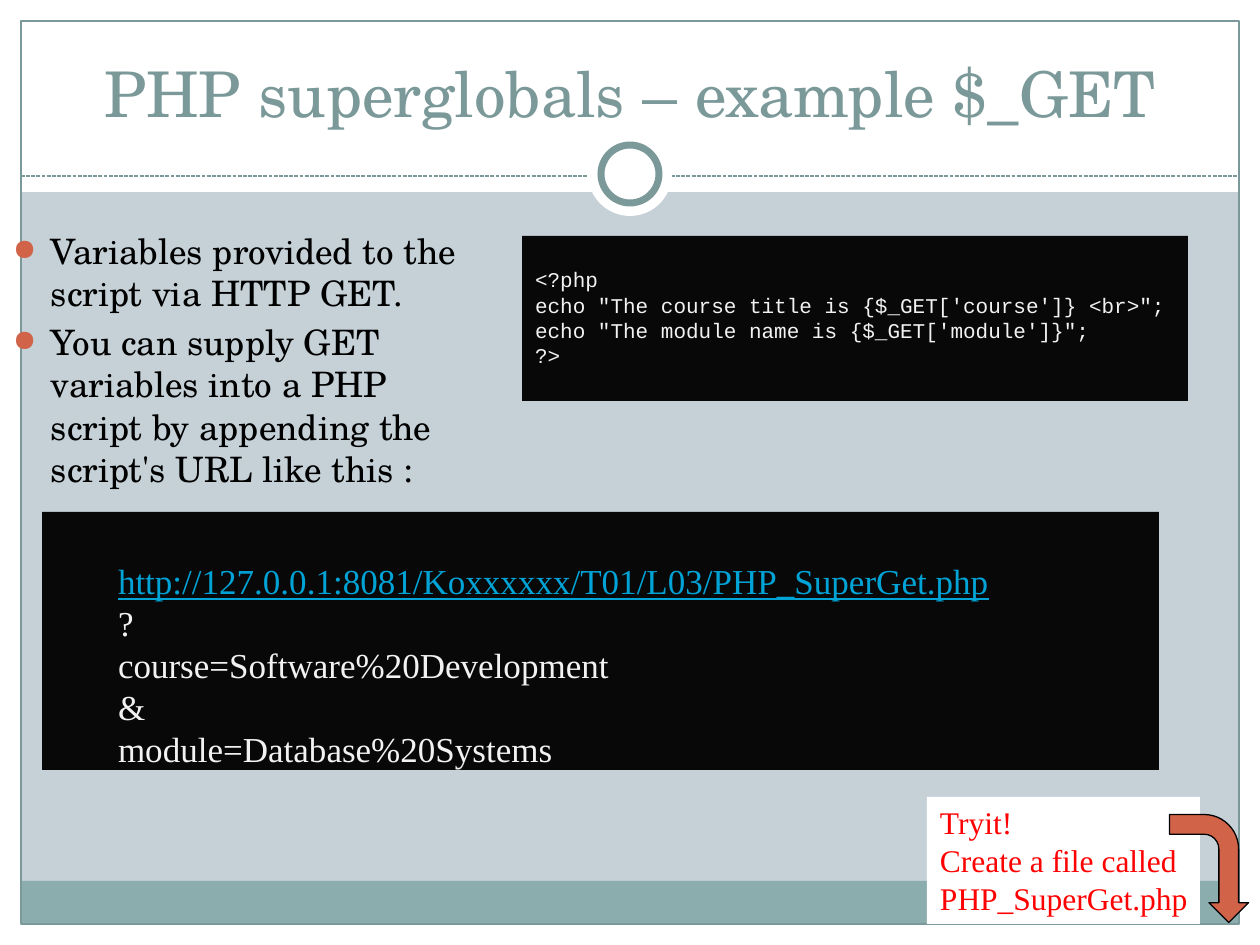
"""Build the slide on PHP superglobals and $_GET."""
from lxml.etree import SubElement
from pptx import Presentation
from pptx.dml.color import RGBColor
from pptx.enum.dml import MSO_LINE
from pptx.enum.shapes import MSO_CONNECTOR, MSO_SHAPE
from pptx.enum.text import MSO_ANCHOR, PP_ALIGN
from pptx.oxml.ns import qn
from pptx.util import Emu, Pt

PX = 914400 // 126
WIDTH, HEIGHT = 1260, 945
EDGE = 21
SERIF, MONO, TIMES = "TeX Gyre Schola", "Courier New", "Times New Roman"
COLORS = {
    "ground": "C5D1D7", "white": "FFFFFF", "band": "8CADAE", "teal": "7C999A",
    "orange": "D16349", "black": "000000", "panel": "080808", "pale": "F2F2F2",
    "link": "00A3D6", "red": "FF0000",
}
RECT, OVAL = MSO_SHAPE.RECTANGLE, MSO_SHAPE.OVAL
BACKDROP = [
    (RECT, (0, HEIGHT - EDGE, WIDTH, EDGE), "white", None, 0),
    (RECT, (0, 0, WIDTH, 192), "white", None, 0),
    (RECT, (0, 0, EDGE, HEIGHT), "white", None, 0),
    (RECT, (WIDTH - EDGE, 0, EDGE, HEIGHT), "white", None, 0),
    (RECT, (EDGE, 881, WIDTH - 2 * EDGE, 43), "band", None, 0),
    (RECT, (EDGE, EDGE, WIDTH - 2 * EDGE, HEIGHT - 2 * EDGE), None, "teal", 0.75),
]
DIVIDER_Y = 176
RINGS = [
    (OVAL, (588, 132, 84, 84), "white", None, 0),
    (OVAL, (601, 145, 58, 58), "white", "teal", 4),
]
ARROW = (MSO_SHAPE.BENT_ARROW, (1155, 829, 108, 79), "orange", "black", 0.75)

TITLE = ["PHP superglobals – example $_GET"]
POINTS = [
    "Variables provided to the script via HTTP GET.",
    "You can supply GET variables into a PHP script by appending the script's URL like this :",
]
CODE = [
    "<?php",
    "echo \"The course title is {$_GET['course']} <br>\";",
    "echo \"The module name is {$_GET['module']}\";",
    "?>",
]
REQUEST = [
    "http://127.0.0.1:8081/Koxxxxxx/T01/L03/PHP_SuperGet.php",
    "?",
    "course=Software%20Development",
    "&",
    "module=Database%20Systems",
]
TASK = ["Tryit!", "Create a file called", "PHP_SuperGet.php"]


def px(*lengths):
    return [Emu(length * PX) for length in lengths]


def rgb(name):
    return RGBColor.from_string(COLORS[name])


def add_figure(kind, box, fill, line, weight):
    figure = slide.shapes.add_shape(kind, *px(*box))
    figure.shadow.inherit = False
    if fill:
        figure.fill.solid()
        figure.fill.fore_color.rgb = rgb(fill)
    else:
        figure.fill.background()
    if line:
        figure.line.color.rgb = rgb(line)
        figure.line.width = Pt(weight)
    else:
        figure.line.fill.background()
    return figure


def add_bullet(paragraph):
    properties = paragraph._p.get_or_add_pPr()
    properties.set("marL", str(38 * PX))
    properties.set("indent", str(-38 * PX))
    color = SubElement(properties, qn("a:buClr"))
    SubElement(color, qn("a:srgbClr"), val=COLORS["orange"])
    SubElement(properties, qn("a:buSzPct"), val="85000")
    SubElement(properties, qn("a:buChar"), char="●")


def add_text(lines, box, face, size, color, fill=None, top=6, left=13, wrap=True):
    holder = slide.shapes.add_textbox(*px(*box))
    if fill:
        holder.fill.solid()
        holder.fill.fore_color.rgb = rgb(fill)
    frame = holder.text_frame
    frame.word_wrap = wrap
    frame.margin_top, frame.margin_left = px(top, left)
    frame.text = "\n".join(lines)
    for paragraph in frame.paragraphs:
        if lines is POINTS:
            paragraph.space_before = Pt(4)
            add_bullet(paragraph)
        font = paragraph.font
        font.name, font.size = face, Pt(size)
        font.color.rgb = rgb(color)
    return frame


deck = Presentation()
deck.slide_width, deck.slide_height = px(WIDTH, HEIGHT)
slide = deck.slides.add_slide(deck.slide_layouts[6])
slide.background.fill.solid()
slide.background.fill.fore_color.rgb = rgb("ground")

for part in BACKDROP:
    add_figure(*part)
divider = slide.shapes.add_connector(
    MSO_CONNECTOR.STRAIGHT, *px(EDGE, DIVIDER_Y, WIDTH - EDGE, DIVIDER_Y))
divider.line.color.rgb = rgb("teal")
divider.line.width = Pt(0.75)
divider.line.dash_style = MSO_LINE.SQUARE_DOT
SubElement(divider._element.spPr, qn("a:effectLst"))
for ring in RINGS:
    add_figure(*ring)

title = add_text(TITLE, (42, 32, 1176, 104), SERIF, 36, "teal")
title.vertical_anchor = MSO_ANCHOR.BOTTOM
title.paragraphs[0].alignment = PP_ALIGN.CENTER

add_text(POINTS, (0, 224, 476, 567), SERIF, 20, "black")
add_text(CODE, (522, 236, 666, 165), MONO, 12, "pale", "panel", top=31)

request = add_text(REQUEST, (42, 512, 1117, 258), TIMES, 20, "pale", "panel", top=56, left=76)
for index, line in enumerate(request.paragraphs):
    line.line_spacing = 0.8
    line.space_before = Pt(4.8 if index else 0)
address = request.paragraphs[0].font
address.color.rgb = rgb("link")
address.underline = True

add_text(TASK, (927, 797, 273, 127), TIMES, 18, "red", "white", wrap=False)
add_figure(*ARROW).rotation = 90

deck.save("out.pptx")
